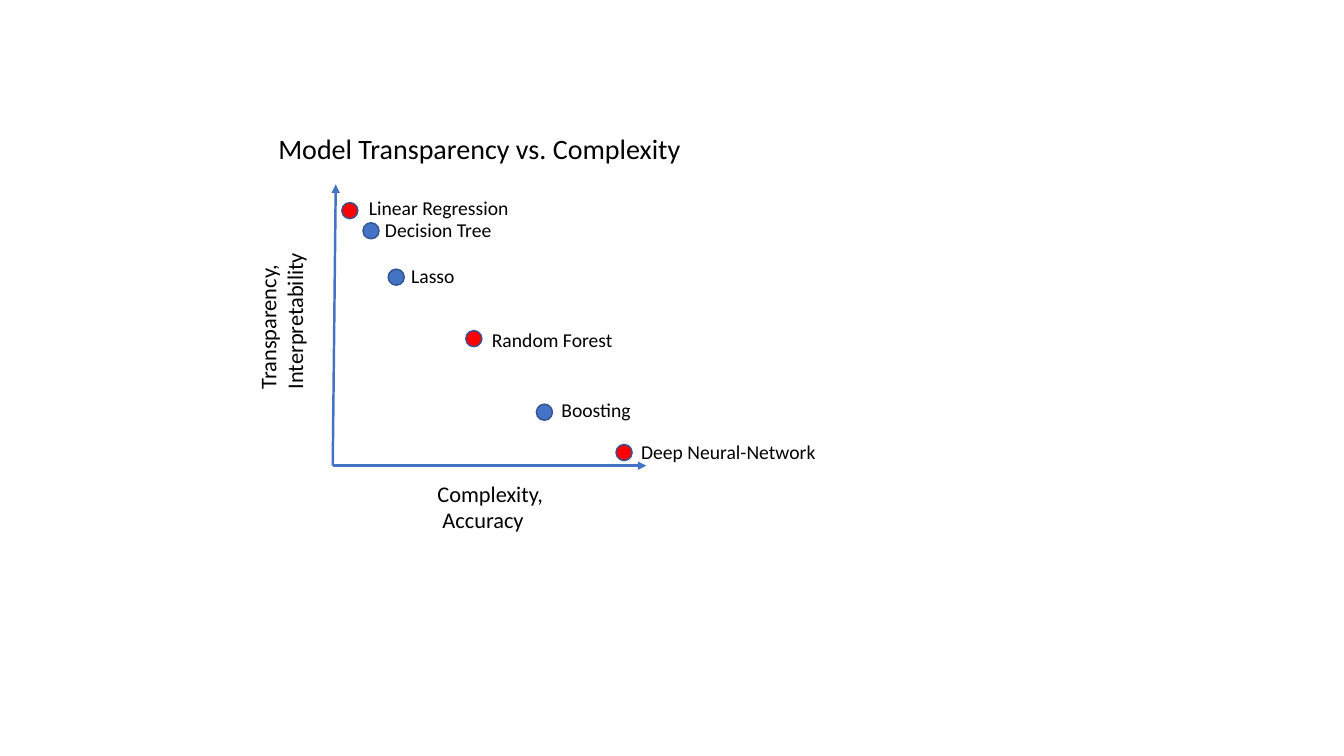
from lxml import etree
from pptx import Presentation
from pptx.dml.color import RGBColor
from pptx.enum.shapes import MSO_CONNECTOR, MSO_SHAPE
from pptx.enum.text import MSO_ANCHOR, MSO_AUTO_SIZE, PP_ALIGN
from pptx.oxml.ns import qn
from pptx.util import Inches, Pt

STRAIGHT = MSO_CONNECTOR.STRAIGHT
OVAL = MSO_SHAPE.OVAL
TOP = MSO_ANCHOR.TOP
LEFT = PP_ALIGN.LEFT
NO_FIT = MSO_AUTO_SIZE.NONE

FONT = "Calibri"
COLOURS = {"text": "000000", "blue": "4472C4", "red": "FF0000", "outline": "325491"}

TITLE = ("Model Transparency vs. Complexity", (2.66, 1.25, 4.23, 0.44))
VERTICAL_LABEL = ("Transparency, \nInterpretability", (2.47, 2.49, 0.74, 1.47))
HORIZONTAL_LABEL = ("Complexity,\n Accuracy", (4.24, 4.71, 2.81, 0.64))
ORIGIN = (3.3, 4.62)
AXIS_ENDS = [(3.33, 1.83), (6.41, 4.62)]
DOT_SIZE = 0.16
LABEL_HEIGHT = 0.34
MODELS = [
    ("Linear Regression", "red", (3.39, 2.01), (3.56, 1.89), 1.6),
    ("Decision Tree", "blue", (3.6, 2.21), (3.72, 2.11), 1.27),
    ("Lasso", "blue", (3.85, 2.67), (3.98, 2.57), 0.64),
    ("Random Forest", "red", (4.62, 3.28), (4.78, 3.2), 1.41),
    ("Boosting", "blue", (5.32, 4.01), (5.47, 3.9), 0.9),
    ("Deep Neural-Network", "red", (6.11, 4.41), (6.26, 4.32), 1.95),
]


def colour(name):
    return RGBColor.from_string(COLOURS[name])


def lengths(values):
    return [Inches(value) for value in values]


def write_text(box, text, size, wrap=False):
    frame = box.text_frame
    frame.text = text
    frame.word_wrap = wrap
    frame.auto_size = NO_FIT
    frame.vertical_anchor = TOP
    for para in frame.paragraphs:
        para.alignment = LEFT
        for span in para.runs:
            span.font.name = FONT
            span.font.size = Pt(size)
            span.font.color.rgb = colour("text")


def add_label(page, text, place, size, wrap=False):
    box = page.shapes.add_textbox(*lengths(place))
    write_text(box, text, size, wrap)
    return box


def add_axis(page, end):
    axis = page.shapes.add_connector(STRAIGHT, *lengths(ORIGIN + end))
    axis.line.color.rgb = colour("blue")
    axis.line.width = Pt(1.75)
    etree.SubElement(axis.line._get_or_add_ln(), qn("a:tailEnd"), type="triangle")
    etree.SubElement(axis._element.spPr, qn("a:effectLst"))


def add_dot(page, corner, fill):
    dot = page.shapes.add_shape(OVAL, *lengths(corner + (DOT_SIZE, DOT_SIZE)))
    dot.shadow.inherit = False
    dot.fill.solid()
    dot.fill.fore_color.rgb = colour(fill)
    dot.line.color.rgb = colour("outline")
    dot.line.width = Pt(1)


deck = Presentation()
deck.slide_width, deck.slide_height = lengths((13.33, 7.5))
page = deck.slides.add_slide(deck.slide_layouts[5])

title = page.shapes.title
title.left, title.top, title.width, title.height = lengths(TITLE[1])
write_text(title, TITLE[0], 20)

for end in AXIS_ENDS:
    add_axis(page, end)

vertical_label = add_label(page, *VERTICAL_LABEL, 16)
vertical_label.text_frame._txBody.bodyPr.set("vert", "vert270")
add_label(page, *HORIZONTAL_LABEL, 16, wrap=True)

for name, fill, dot_corner, label_corner, label_width in MODELS:
    add_dot(page, dot_corner, fill)
    add_label(page, name, label_corner + (label_width, LABEL_HEIGHT), 14)

deck.save("out.pptx")
